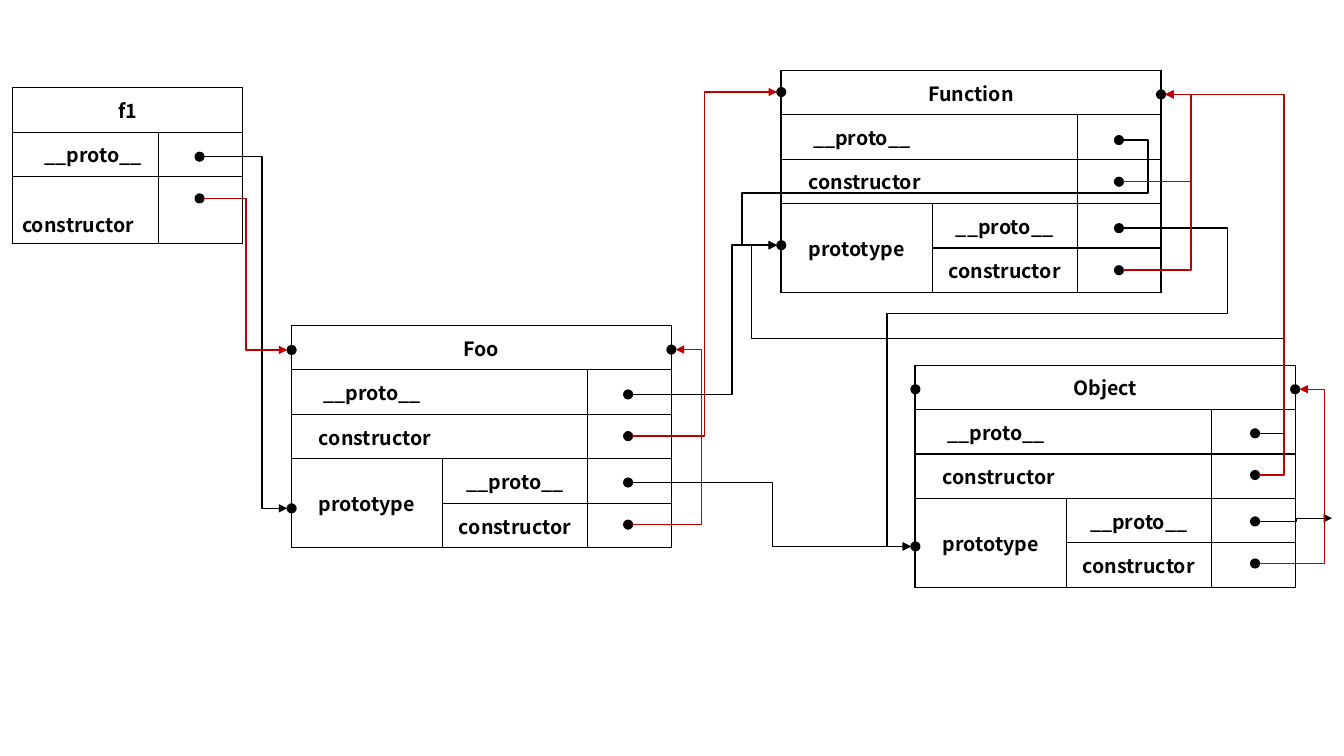
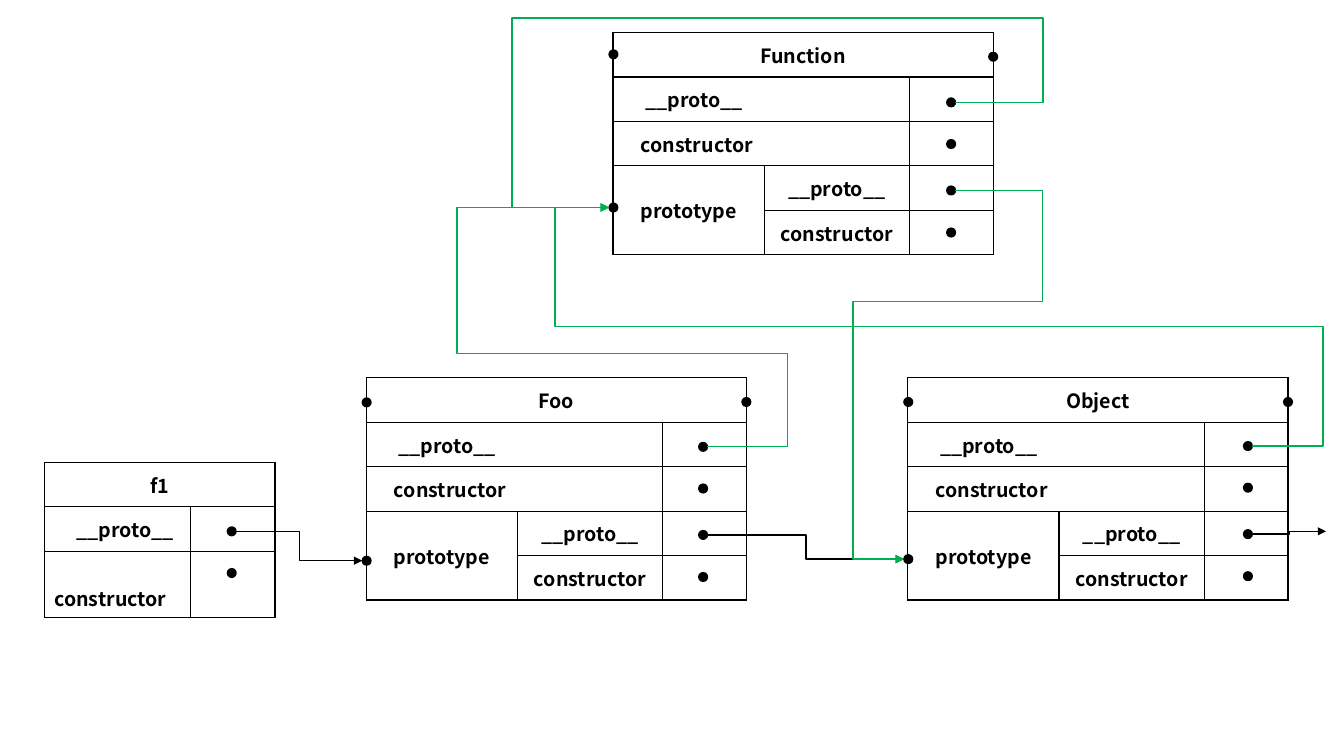
from pptx import Presentation, util as u
from pptx.dml.color import RGBColor
from pptx.enum import shapes, text
from pptx.oxml import parse_xml
from pptx.oxml.ns import nsdecls, qn

BLACK = RGBColor(0x00, 0x00, 0x00)
RED = RGBColor(0xC0, 0x00, 0x00)
GREEN = RGBColor(0x00, 0xB0, 0x50)
FONT = "Noto Sans CJK SC"
THIN = u.Pt(1)
ROW = 1.12
DOT = 0.22
STEPS = {"proto": 0, "ctor": 1.05, "inner": 2.22, "back": 3.28}
# Per class: x of the value dots, y of the first, y of prototype, y of head
SPOTS = {
    "Foo": (8.38, 1.63, 4.5, 0.51),
    "Function": (8.41, 1.65, 4.3, 0.44),
    "Object": (8.46, 1.61, 4.46, 0.5),
}
RIGHT, LEFT = 6, 2  # connection sites of an ellipse


def write(cell, words, indent=None):
    """Put a bold label in a cell, centred unless it has an indent."""
    cell.text = words
    par = cell.text_frame.paragraphs[0]
    par.font.name, par.font.size = FONT, u.Pt(14)
    par.font.bold, par.font.color.rgb = True, BLACK
    if indent is None:
        par.alignment = text.PP_ALIGN.CENTER
    else:
        par.alignment = text.PP_ALIGN.LEFT
        cell.margin_left = u.Cm(indent)


def frame(cell):
    """Give a cell thin borders, no fill and middle anchoring."""
    props = cell._tc.get_or_add_tcPr()
    for side in ("lnL", "lnR", "lnT", "lnB"):
        props.append(parse_xml(
            f'<a:{side} {nsdecls("a")} w="{THIN}"><a:solidFill>'
            f'<a:srgbClr val="{BLACK}"/></a:solidFill></a:{side}>'))
    cell.fill.background()
    cell.vertical_anchor = text.MSO_ANCHOR.MIDDLE


def grid(slide, x, y, cols, rows):
    """Add a plain bordered table with the given widths and heights."""
    table = slide.shapes.add_table(
        len(rows), len(cols), u.Cm(x), u.Cm(y),
        u.Cm(sum(cols)), u.Cm(sum(rows))).table
    table.first_row = table.horz_banding = False
    for col, width in zip(table.columns, cols):
        col.width = u.Cm(width)
    for row, height in zip(table.rows, rows):
        row.height = u.Cm(height)
    for cell in table.iter_cells():
        frame(cell)
    return table


def dots(slide, x, y, spots):
    """Add a group of named dots at offsets from a table corner."""
    group = slide.shapes.add_group_shape()
    made = {}
    for name, (dx, dy) in spots.items():
        dot = group.shapes.add_shape(
            shapes.MSO_SHAPE.OVAL, u.Cm(x + dx), u.Cm(y + dy),
            u.Cm(DOT), u.Cm(DOT))
        dot.shadow.inherit = False
        dot.fill.solid()
        dot.fill.fore_color.rgb = dot.line.color.rgb = BLACK
        dot.line.width = THIN
        made[name] = dot
    return made


def item(slide, x, y):
    """Draw the f1 instance and return its dots."""
    table = grid(slide, x, y, (3.68, 2.13), (ROW, ROW, 1.68))
    table.cell(0, 0).merge(table.cell(0, 1))
    write(table.cell(0, 0), "f1")
    write(table.cell(1, 0), "__proto__", 0.81)
    write(table.cell(2, 0), "constructor", 0.25)
    table.cell(2, 0).margin_top = u.Cm(0.82)
    return dots(slide, x, y, {
        name: (4.61, 1.63 + STEPS[name]) for name in ("proto", "ctor")})


def card(slide, name, x, y):
    """Draw a class table with its prototype and return its dots."""
    table = grid(slide, x, y, (3.81, 3.66, 2.11), [ROW] * 5)
    for top, end, last in ((0, 0, 2), (1, 1, 1), (2, 2, 1), (3, 4, 0)):
        table.cell(top, 0).merge(table.cell(end, last))
    write(table.cell(0, 0), name)
    write(table.cell(1, 0), "__proto__", 0.81)
    write(table.cell(2, 0), "constructor", 0.7)
    write(table.cell(3, 0), "prototype")
    write(table.cell(3, 1), "__proto__")
    write(table.cell(4, 1), "constructor")
    dx, first, kind, head = SPOTS[name]
    spots = {key: (dx, first + step) for key, step in STEPS.items()}
    spots.update(kind=(-0.1, kind), left=(-0.1, head), right=(9.47, 0.5))
    return dots(slide, x, y, spots)


def port(dot, site):
    """Return the point of a dot's left or right site."""
    x = dot.left + (dot.width if site == RIGHT else 0)
    return x, dot.top + dot.height // 2


def route(slide, start, end, bends, color=BLACK, site=LEFT):
    """Draw an elbow arrow from a dot to a dot or a point.

    Bends are lane positions in turn: x, or x, y, x.
    """
    free = isinstance(end, tuple)
    head = port(start, RIGHT)
    tip = tuple(u.Cm(v) for v in end) if free else port(end, site)
    link = slide.shapes.add_connector(
        shapes.MSO_CONNECTOR.ELBOW, *head, *tip)
    link._connect_begin_to(start, RIGHT)
    if not free:
        link._connect_end_to(end, site)
    link.line.color.rgb, link.line.width = color, THIN
    link.line._get_or_add_ln().append(
        parse_xml(f'<a:tailEnd {nsdecls("a")} type="triangle"/>'))
    props = link._element.spPr
    props.append(parse_xml(f'<a:effectLst {nsdecls("a")}/>'))
    geom = props.find(qn("a:prstGeom"))
    geom.set("prst", f"bentConnector{len(bends) + 2}")
    guides = geom.get_or_add_avLst()
    for num, lane in enumerate(bends):
        axis = num % 2
        part = (u.Cm(lane) - head[axis]) / (tip[axis] - head[axis])
        guides.append(parse_xml(
            f'<a:gd {nsdecls("a")} name="adj{num + 1}" '
            f'fmla="val {round(part * 100000)}"/>'))


def full(slide):
    """Draw the chains of both __proto__ and constructor."""
    foo = card(slide, "Foo", 7.34, 8.2)
    func = card(slide, "Function", 19.68, 1.77)
    obj = card(slide, "Object", 23.06, 9.2)
    f1 = item(slide, 0.31, 2.21)
    for start, end, bends in (
            (f1["proto"], foo["kind"], [6.6]),
            (foo["proto"], func["kind"], [18.45]),
            (foo["inner"], obj["kind"], [19.47]),
            (obj["inner"], (33.57, 13.06), [32.66]),
            (obj["proto"], func["kind"], [32.36, 8.53, 18.95]),
            (func["inner"], obj["kind"], [30.94, 7.91, 22.35]),
            (func["proto"], func["kind"], [28.93, 4.86, 18.7])):
        route(slide, start, end, bends)
    for start, end, lane in (
            (f1["ctor"], foo["left"], 6.2),
            (foo["ctor"], func["left"], 17.76)):
        route(slide, start, end, [lane], RED)
    for start, end, lane in (
            (foo["back"], foo["right"], 17.68),
            (func["back"], func["right"], 30.02),
            (func["ctor"], func["right"], 30.02),
            (obj["back"], obj["right"], 33.38),
            (obj["ctor"], func["right"], 32.36)):
        route(slide, start, end, [lane], RED, RIGHT)


def chain(slide):
    """Draw the __proto__ chain alone."""
    foo = card(slide, "Foo", 9.23, 9.52)
    func = card(slide, "Function", 15.45, 0.82)
    obj = card(slide, "Object", 22.88, 9.52)
    f1 = item(slide, 1.12, 11.65)
    for start, end, lane in (
            (f1["proto"], foo["kind"], 7.55),
            (obj["inner"], (33.42, 13.39), 32.49),
            (foo["inner"], obj["kind"], 20.31)):
        route(slide, start, end, [lane])
    for start, end, bends in (
            (foo["proto"], func["kind"], [19.85, 8.91, 11.52]),
            (obj["proto"], func["kind"], [33.34, 8.23, 13.99]),
            (func["inner"], obj["kind"], [26.27, 7.61, 21.5]),
            (func["proto"], func["kind"], [26.29, 0.45, 12.91])):
        route(slide, start, end, bends, GREEN)


def main():
    """Build both slides and save them."""
    deck = Presentation()
    deck.slide_width, deck.slide_height = u.Cm(33.87), u.Cm(19.05)
    blank = deck.slide_layouts[6]
    for draw in (full, chain):
        draw(deck.slides.add_slide(blank))
    deck.save("out.pptx")


main()
